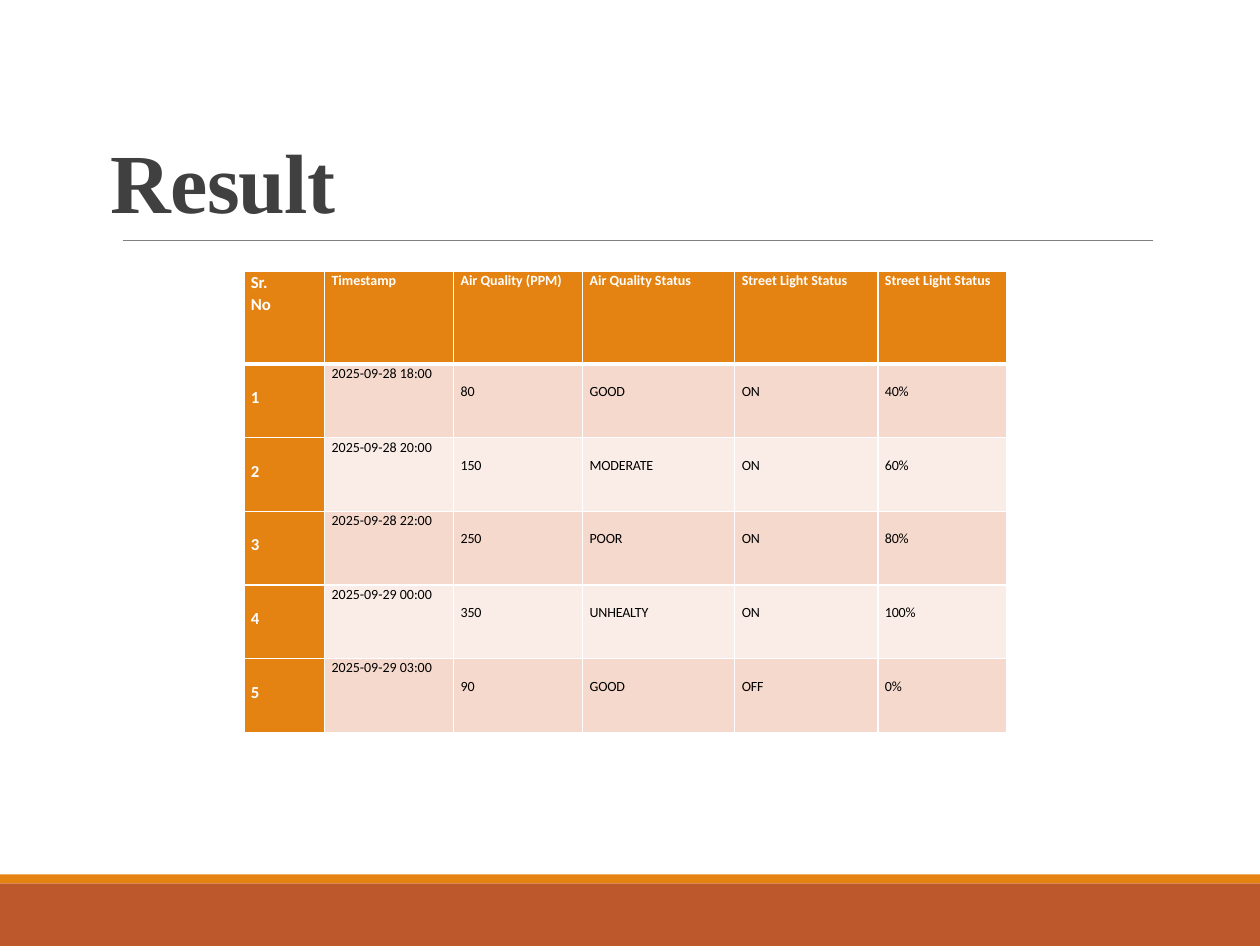
import pptx
import pptx.util
import pptx.dml.color
import pptx.enum.shapes
import pptx.enum.text
import pptx.oxml
import pptx.oxml.ns
from pptx.util import Inches

HEAD = ["Sr.\nNo", "Timestamp", "Air Quality (PPM)", "Air Quality Status",
        "Street Light Status", "Street Light Status"]
ROWS = [
    ("1", "2025-09-28 18:00", "80", "GOOD", "ON", "40%"),
    ("2", "2025-09-28 20:00", "150", "MODERATE", "ON", "60%"),
    ("3", "2025-09-28 22:00", "250", "POOR", "ON", "80%"),
    ("4", "2025-09-29 00:00", "350", "UNHEALTY", "ON", "100%"),
    ("5", "2025-09-29 03:00", "90", "GOOD", "OFF", "0%"),
]
COLS = [0.8, 1.28, 1.28, 1.51, 1.42, 1.28]
TALL = [0.92] + [0.73] * len(ROWS)
HUE = {"rust": "BD582C", "orange": "E48312", "rule": "808080", "title": "404040",
       "white": "FFFFFF", "black": "000000", "dark": "F5D9CC", "pale": "FAEDE7"}
BANDS = [("rust", 8.76, 0.62), ("orange", 8.67, 0.09)]
ALIGN = pptx.enum.text.PP_ALIGN


def tint(name):
    return pptx.dml.color.RGBColor.from_string(HUE[name])


def write(frame, text, size, hue, font="Calibri", bold=False, gap=0,
          lead=1.07, align=ALIGN.JUSTIFY):
    frame.word_wrap = True
    for i, line in enumerate(text.split("\n")):
        para = frame.paragraphs[0] if i == 0 else frame.add_paragraph()
        para.alignment = align
        para.line_spacing = lead
        run = para.add_run()
        run.text = line
        run.font.size = pptx.util.Pt(size)
        run.font.name = font
        run.font.bold = bold
        run.font.color.rgb = tint(hue)
        run.font._element.set("spc", str(gap))


def edge(cell, row):
    props = cell._tc.get_or_add_tcPr()
    wide = {"L": 1, "R": 1, "T": 3 if row == 1 else 1, "B": 3 if row == 0 else 1}
    for i, (side, width) in enumerate(wide.items()):
        props.insert(i, pptx.oxml.parse_xml(
            f'<a:ln{side} {pptx.oxml.ns.nsdecls("a")} w="{pptx.util.Pt(width)}">'
            f'<a:solidFill><a:srgbClr val="{HUE["white"]}"/></a:solidFill></a:ln{side}>'))


def fill(cell, text, row, col):
    key = row == 0 or col == 0
    size = 12 if col == 0 else 10
    drop = row > 0 and col != 1
    cell.margin_left = cell.margin_right = Inches(0.07)
    cell.margin_top = Inches(round(size * 0.018, 2) if drop else 0)
    cell.margin_bottom = 0
    cell.fill.solid()
    cell.fill.fore_color.rgb = tint("orange" if key else "dark" if row % 2 else "pale")
    write(cell.text_frame, text, size, "white" if key else "black", bold=key,
          gap=-10 if col == 0 or drop else 0)
    edge(cell, row)


def main():
    deck = pptx.Presentation()
    deck.slide_width, deck.slide_height = Inches(12.5), Inches(9.38)
    slide = deck.slides.add_slide(deck.slide_layouts[6])
    shapes = slide.shapes

    for hue, top, height in BANDS:
        band = shapes.add_shape(pptx.enum.shapes.MSO_SHAPE.RECTANGLE, 0, Inches(top),
                                deck.slide_width, Inches(height))
        band.shadow.inherit = False
        band.fill.solid()
        band.fill.fore_color.rgb = tint(hue)
        band.line.fill.background()

    rule = shapes.add_connector(pptx.enum.shapes.MSO_CONNECTOR.STRAIGHT,
                                Inches(1.22), Inches(2.38), Inches(11.44), Inches(2.38))
    rule.line.color.rgb = tint("rule")
    rule.line.width = pptx.util.Pt(0.5)
    rule._element.spPr.append(pptx.oxml.parse_xml(
        f'<a:effectLst {pptx.oxml.ns.nsdecls("a")}/>'))

    title = shapes.add_textbox(Inches(1), Inches(0.36), Inches(10.31), Inches(1.98))
    title.text_frame.vertical_anchor = pptx.enum.text.MSO_ANCHOR.BOTTOM
    write(title.text_frame, "Result", 60, "title", font="Times New Roman", bold=True,
          gap=-60, lead=0.85, align=ALIGN.LEFT)

    grid = shapes.add_table(len(TALL), len(COLS), Inches(2.42), Inches(2.69),
                            Inches(sum(COLS)), Inches(sum(TALL))).table
    for col, width in zip(grid.columns, COLS):
        col.width = Inches(width)
    for row, height in zip(grid.rows, TALL):
        row.height = Inches(height)
    for r, line in enumerate([HEAD] + ROWS):
        for c, text in enumerate(line):
            fill(grid.cell(r, c), text, r, c)

    deck.save("out.pptx")


if __name__ == "__main__":
    main()
